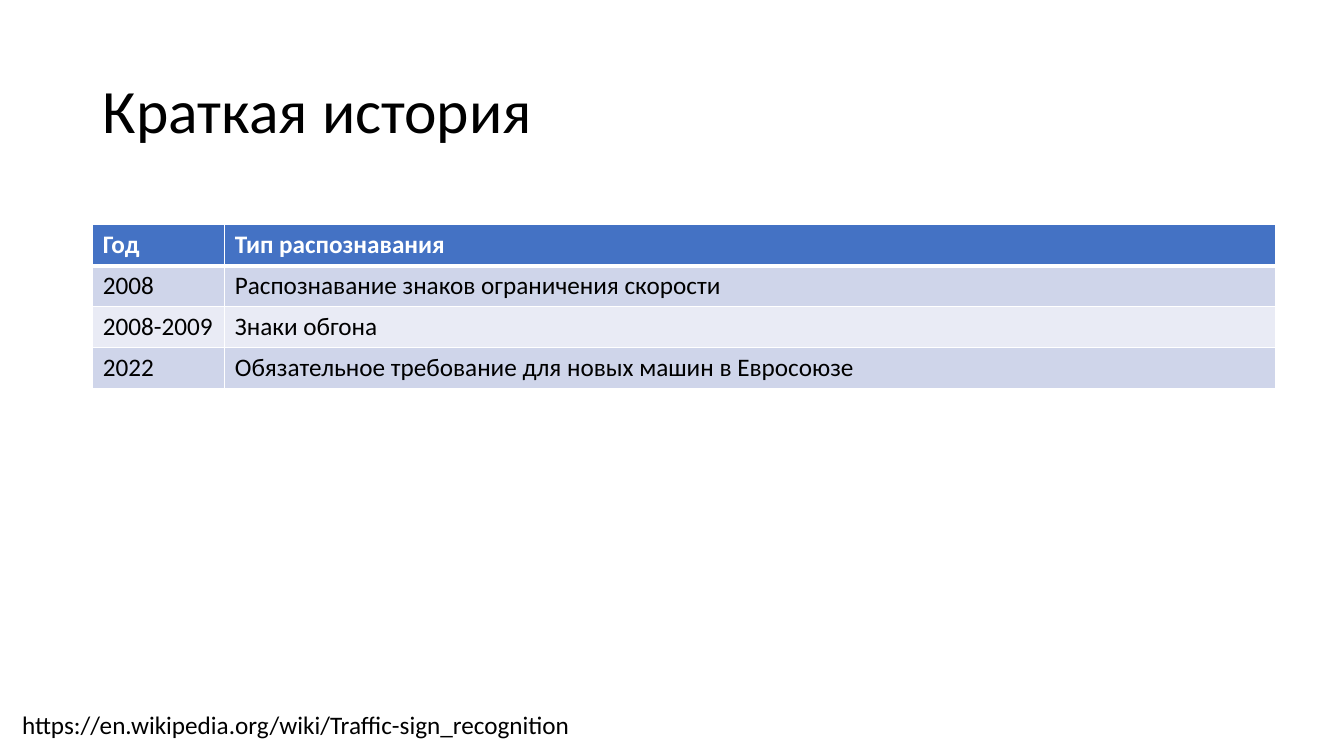
from dataclasses import dataclass

from lxml import etree
from pptx import Presentation
from pptx import util as u
from pptx.dml.color import RGBColor
from pptx.enum import text
from pptx.oxml.ns import qn


@dataclass(frozen=True)
class Theme:
    font: str = "Calibri"
    title_size: int = 44
    body_size: int = 18
    ink: str = "000000"
    paper: str = "FFFFFF"
    header: str = "4472C4"
    bands: tuple[str, str] = ("CFD5EA", "E9EBF5")
    rule: float = 1
    header_rule: float = 3


@dataclass(frozen=True)
class Box:
    left: float
    top: float
    width: float
    height: float


@dataclass(frozen=True)
class Milestone:
    year: str
    kind: str


THEME = Theme()
WIDTH, HEIGHT = u.Inches(13.33), u.Inches(7.5)
TITLE = Box(6.9, 5.33, 86.27, 19.33)
TABLE = Box(6.9, 29.73, 88, 21.64)
SOURCE = Box(0.9, 93.2, 50.04, 5.33)
YEAR_SHARE = 9.83
HEADINGS = Milestone("Год", "Тип распознавания")
HISTORY = [
    Milestone("2008", "Распознавание знаков ограничения скорости"),
    Milestone("2008-2009", "Знаки обгона"),
    Milestone("2022", "Обязательное требование для новых машин в Евросоюзе"),
]


def across(percent: float) -> int:
    return round(WIDTH * percent / 100)


def down(percent: float) -> int:
    return round(HEIGHT * percent / 100)


def place(box: Box) -> tuple[int, int, int, int]:
    return across(box.left), down(box.top), across(box.width), down(box.height)


def write(tf, words: str, size: float, color: str, bold: bool = False) -> None:
    tf.text = words
    p = tf.paragraphs[0]
    p.alignment = text.PP_ALIGN.LEFT
    p.font.name = THEME.font
    p.font.size = u.Pt(size)
    p.font.bold = bold
    p.font.color.rgb = RGBColor.from_string(color)


def add_borders(cell, top: float, bottom: float) -> None:
    tc_pr = cell._tc.get_or_add_tcPr()
    weights = {"L": THEME.rule, "R": THEME.rule, "T": top, "B": bottom}
    for side, weight in weights.items():
        ln = etree.SubElement(tc_pr, qn(f"a:ln{side}"), w=str(u.Pt(weight)))
        fill = etree.SubElement(ln, qn("a:solidFill"))
        etree.SubElement(fill, qn("a:srgbClr"), val=THEME.paper)


def add_title(s, words: str) -> None:
    sp = s.shapes.title
    sp.left, sp.top, sp.width, sp.height = place(TITLE)
    tf = sp.text_frame
    tf.auto_size = text.MSO_AUTO_SIZE.NONE
    tf.vertical_anchor = text.MSO_ANCHOR.MIDDLE
    write(tf, words, THEME.title_size, THEME.ink)
    tf.paragraphs[0].line_spacing = 0.9


def add_history(s) -> None:
    rows = [HEADINGS, *HISTORY]
    table = s.shapes.add_table(len(rows), 2, *place(TABLE)).table
    table.columns[0].width = across(YEAR_SHARE)
    table.columns[1].width = across(TABLE.width - YEAR_SHARE)
    for i, row in enumerate(rows):
        head = i == 0
        fill = THEME.header if head else THEME.bands[(i - 1) % 2]
        color = THEME.paper if head else THEME.ink
        top = THEME.header_rule if i == 1 else THEME.rule
        bottom = THEME.header_rule if head else THEME.rule
        for j, words in enumerate((row.year, row.kind)):
            cell = table.cell(i, j)
            write(cell.text_frame, words, THEME.body_size, color, head)
            add_borders(cell, top, bottom)
            cell.fill.solid()
            cell.fill.fore_color.rgb = RGBColor.from_string(fill)


def add_source(s, address: str) -> None:
    tf = s.shapes.add_textbox(*place(SOURCE)).text_frame
    tf.word_wrap = True
    tf.auto_size = text.MSO_AUTO_SIZE.SHAPE_TO_FIT_TEXT
    write(tf, address, THEME.body_size, THEME.ink)


def main() -> None:
    prs = Presentation()
    prs.slide_width, prs.slide_height = WIDTH, HEIGHT
    s = prs.slides.add_slide(prs.slide_layouts.get_by_name("Title Only"))
    add_title(s, "Краткая история")
    add_history(s)
    add_source(s, "https://en.wikipedia.org/wiki/Traffic-sign_recognition")
    prs.save("out.pptx")


if __name__ == "__main__":
    main()
